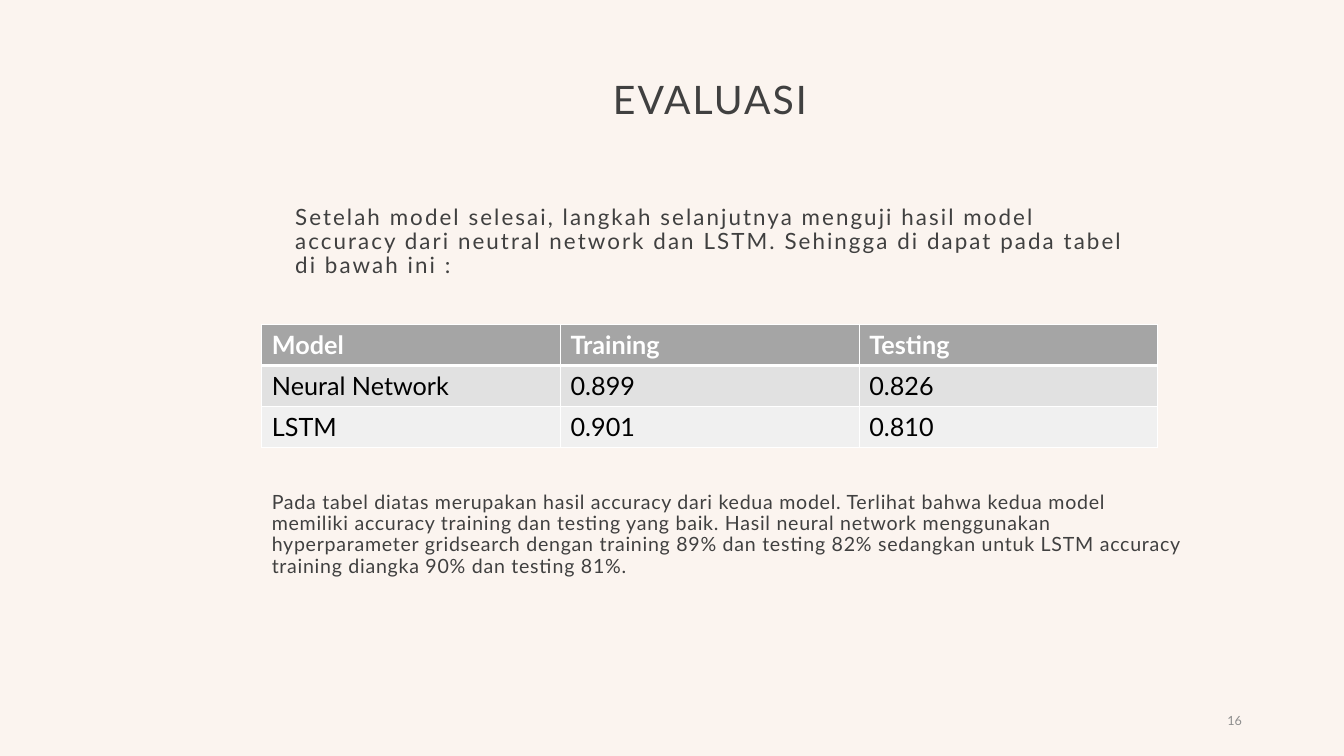
from lxml.etree import SubElement
from pptx import Presentation
from pptx.dml.color import RGBColor
from pptx.enum.text import MSO_ANCHOR, PP_ALIGN
from pptx.oxml.ns import qn
from pptx.util import Cm, Pt

FONT = "Lato"
COLORS = {
    "background": "FBF4EF",
    "text": "404040",
    "number": "8C8C8C",
    "header": "A5A5A5",
    "odd_row": "E1E1E1",
    "even_row": "F0F0F0",
    "white": "FFFFFF",
    "black": "000000",
}
INTRO = (
    "Setelah model selesai, langkah selanjutnya menguji hasil model accuracy "
    "dari neutral network dan LSTM. Sehingga di dapat pada tabel di bawah ini :"
)
CLOSING = (
    "Pada tabel diatas merupakan hasil accuracy dari kedua model. Terlihat bahwa "
    "kedua model memiliki accuracy training dan testing yang baik. Hasil neural "
    "network menggunakan hyperparameter gridsearch dengan training 89% dan testing "
    "82% sedangkan untuk LSTM accuracy training diangka 90% dan testing 81%."
)
RESULTS = [
    ["Model", "Training", "Testing"],
    ["Neural Network", "0.899", "0.826"],
    ["LSTM", "0.901", "0.810"],
]


def color(name):
    return RGBColor.from_string(COLORS[name])


def add_span(para, text, size, color_name, bold=False, tracking=0):
    span = para.add_run()
    span.text = text
    span.font.name = FONT
    span.font.size = Pt(size)
    span.font.bold = bold
    span.font.color.rgb = color(color_name)
    if tracking:
        span.font._element.set("spc", str(int(tracking * 100)))


def add_text(page, box, text, size, color_name="text", tracking=0, line=1.0,
             before=0, align=PP_ALIGN.LEFT, anchor=MSO_ANCHOR.TOP):
    frame = page.shapes.add_textbox(*map(Cm, box)).text_frame
    frame.word_wrap = True
    frame.vertical_anchor = anchor
    para = frame.paragraphs[0]
    para.alignment = align
    para.line_spacing = line
    para.space_before = Pt(before)
    add_span(para, text, size, color_name, tracking=tracking)


def add_borders(cell, bottom_width):
    properties = cell._tc.get_or_add_tcPr()
    widths = {"a:lnL": 1, "a:lnR": 1, "a:lnT": 1, "a:lnB": bottom_width}
    for side, width in widths.items():
        border = SubElement(properties, qn(side), w=str(Pt(width)))
        fill = SubElement(border, qn("a:solidFill"))
        SubElement(fill, qn("a:srgbClr"), val=COLORS["white"])


def add_results_table(page, box):
    left, top, width, height = box
    row_count, column_count = len(RESULTS), len(RESULTS[0])
    table = page.shapes.add_table(row_count, column_count, *map(Cm, box)).table
    for column in table.columns:
        column.width = Cm(width / column_count)
    for row in table.rows:
        row.height = Cm(height / row_count)

    for row_index, values in enumerate(RESULTS):
        is_header = row_index == 0
        fill_name = "header" if is_header else "odd_row" if row_index % 2 else "even_row"
        for column_index, value in enumerate(values):
            cell = table.cell(row_index, column_index)
            # The line under the header is thicker, and shared with the row below
            add_borders(cell, 3 if is_header else 1)
            if row_index == 1:
                cell._tc.tcPr.find(qn("a:lnT")).set("w", str(Pt(3)))
            cell.fill.solid()
            cell.fill.fore_color.rgb = color(fill_name)
            add_span(cell.text_frame.paragraphs[0], value, 18,
                     "white" if is_header else "black", bold=is_header)


def build_evaluation_page(deck):
    page = deck.slides.add_slide(deck.slide_layouts[6])
    page.background.fill.solid()
    page.background.fill.fore_color.rgb = color("background")

    # Title
    add_text(page, (6.2, 1.68, 23.39, 1.75), "EVALUASI", 28, tracking=1.5, line=0.9,
             align=PP_ALIGN.CENTER, anchor=MSO_ANCHOR.MIDDLE)
    # Introduction
    add_text(page, (7.19, 4.85, 21.44, 2.29), INTRO, 16, tracking=1.5, line=0.9,
             before=10, anchor=MSO_ANCHOR.BOTTOM)
    # Accuracy table
    add_results_table(page, (6.6, 8.18, 22.58, 3.09))
    # Conclusion
    add_text(page, (6.6, 12.29, 23.62, 2.46), CLOSING, 14, tracking=0.5, line=0.9,
             before=10)
    # Page number
    add_text(page, (23.93, 17.65, 7.62, 1.02), "16", 9, "number",
             align=PP_ALIGN.RIGHT, anchor=MSO_ANCHOR.MIDDLE)


def main():
    deck = Presentation()
    deck.slide_width = Cm(33.87)
    deck.slide_height = Cm(19.05)
    build_evaluation_page(deck)
    deck.save("out.pptx")


if __name__ == "__main__":
    main()
